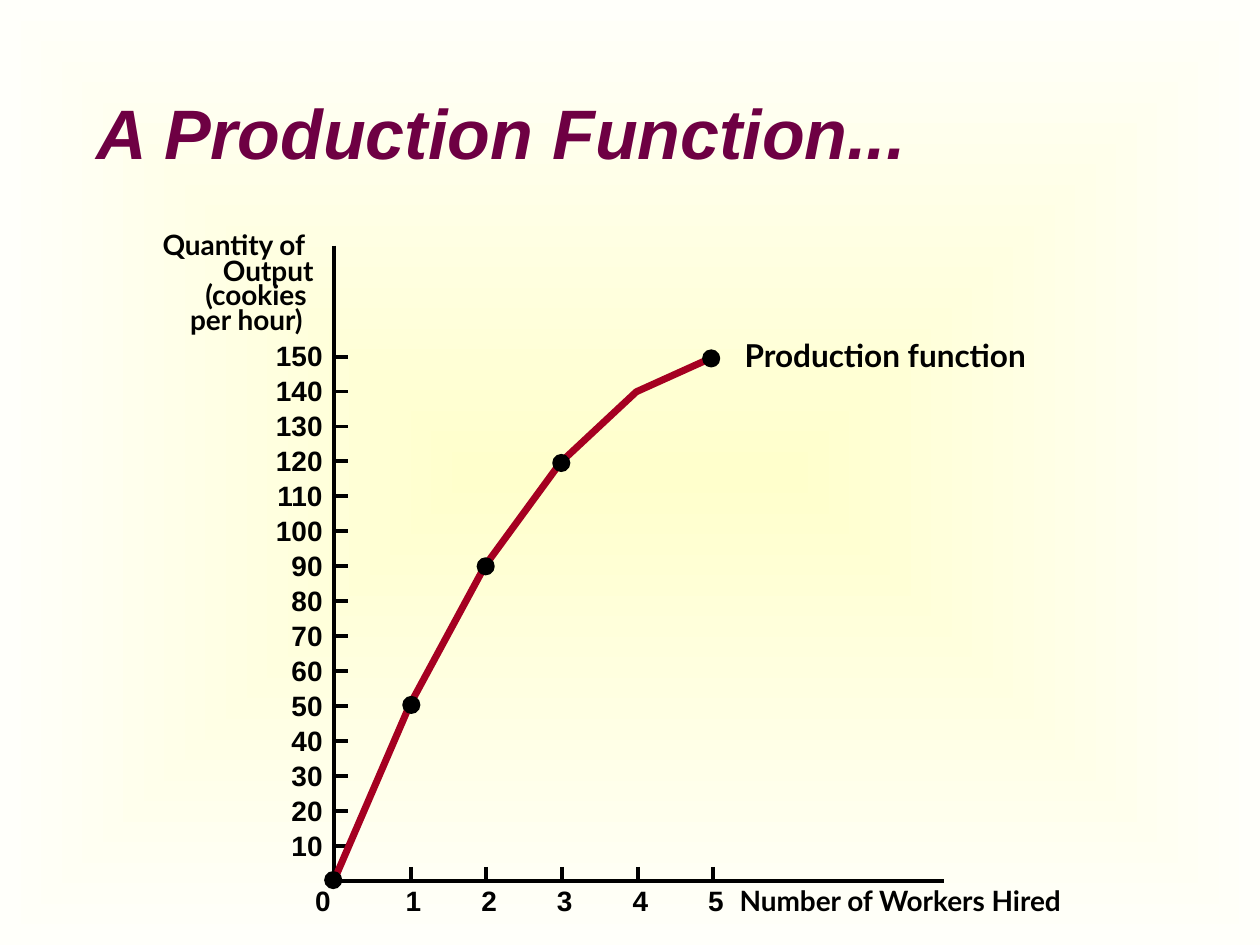
from typing import NamedTuple

from lxml import etree
from pptx import Presentation
from pptx import util as u
from pptx.dml import color
from pptx.enum import shapes, text
from pptx.oxml import ns

BLACK = "000000"
AXIS_X, AXIS_Y = 2.65, 6.99
AXIS_TOP, AXIS_RIGHT = 1.95, 7.49
WORKER_STEP = 0.6
OUTPUT_STEP = (AXIS_Y - 2.83) / 15
TICK = 0.11
DOT = 0.13


class Point(NamedTuple):
    x: float
    y: float


class Label(NamedTuple):
    words: str
    left: float
    top: float
    width: float
    size: int = 16


AXIS_TITLES = [
    Label("Quantity of", 1.29, 1.81, 1.27),
    Label("Output", 1.77, 2.01, 0.8),
    Label("(cookies", 1.63, 2.2, 0.91),
    Label("per hour)", 1.51, 2.4, 1.03),
    Label("Number of Workers Hired", 5.87, 7.01, 2.85),
    Label("Production function", 5.91, 2.67, 2.5, 18),
]
CURVE = [Point(AXIS_X, AXIS_Y), Point(3.25, 5.6), Point(3.85, 4.49),
         Point(4.45, 3.67), Point(5.05, 3.11), Point(5.67, 2.83)]
DOTS = [Point(2.58, 6.92), Point(3.2, 5.53), Point(3.79, 4.43),
        Point(4.39, 3.61), Point(5.58, 2.78)]


def rgb(value: str) -> color.RGBColor:
    return color.RGBColor.from_string(value)


def set_background(page, center: str, edge: str) -> None:
    """Fill the page with a gradient that spreads from the middle."""
    fill = page.background.fill
    fill.gradient()
    for stop, value, position in zip(fill.gradient_stops, (center, edge), (0, 1)):
        stop.color.rgb = rgb(value)
        stop.position = position
    gradient = page.element.find(".//" + ns.qn("a:gradFill"))
    gradient.remove(gradient.find(ns.qn("a:lin")))
    spread = etree.SubElement(gradient, ns.qn("a:path"), path="rect")
    etree.SubElement(spread, ns.qn("a:fillToRect"),
                     l="50000", t="50000", r="50000", b="50000")


def add_text(page, words: str, left: float, top: float, width: float,
             height: float = 0.27, *, size: int = 16, font: str = "Arial",
             hue: str = BLACK, italic: bool = False, wrap: bool = False,
             margins: tuple[float, float] = (0, 0),
             align=text.PP_ALIGN.LEFT, anchor=text.MSO_ANCHOR.TOP) -> None:
    box = page.shapes.add_textbox(*map(u.Inches, (left, top, width, height)))
    frame = box.text_frame
    frame.word_wrap = wrap
    frame.vertical_anchor = anchor
    frame.margin_left = frame.margin_right = u.Inches(margins[0])
    frame.margin_top = frame.margin_bottom = u.Inches(margins[1])
    para = frame.paragraphs[0]
    para.alignment = align
    span = para.add_run()
    span.text = words
    span.font.name = font
    span.font.size = u.Pt(size)
    span.font.bold = True
    span.font.italic = italic
    span.font.color.rgb = rgb(hue)


def add_tick(page, start: Point, end: Point) -> None:
    tick = page.shapes.add_connector(
        shapes.MSO_CONNECTOR.STRAIGHT, *map(u.Inches, (*start, *end)))
    tick.line.color.rgb = rgb(BLACK)
    tick.line.width = u.Pt(2.25)
    etree.SubElement(tick.element.spPr, ns.qn("a:effectLst"))


def add_polyline(page, points: list[Point], hue: str, weight: float) -> None:
    start, *rest = [(u.Inches(x), u.Inches(y)) for x, y in points]
    builder = page.shapes.build_freeform(*start)
    builder.add_line_segments(rest, close=False)
    outline = builder.convert_to_shape()
    outline.shadow.inherit = False
    outline.fill.background()
    outline.line.color.rgb = rgb(hue)
    outline.line.width = u.Pt(weight)


def add_dot(page, corner: Point) -> None:
    dot = page.shapes.add_shape(
        shapes.MSO_SHAPE.OVAL, *map(u.Inches, (*corner, DOT, DOT)))
    dot.shadow.inherit = False
    dot.fill.solid()
    dot.fill.fore_color.rgb = rgb(BLACK)
    dot.line.color.rgb = rgb(BLACK)
    dot.line.width = u.Pt(1)


def main() -> None:
    deck = Presentation()
    deck.slide_width, deck.slide_height = u.Inches(10), u.Inches(7.5)
    page = deck.slides.add_slide(deck.slide_layouts[6])
    set_background(page, "FFFFCC", "FFFFFA")

    # Title
    add_text(page, "A Production Function...", 0.67, 0.42, 8.5, 1.25,
             size=40, hue="6E0043", italic=True, wrap=True,
             margins=(0.1, 0.05), anchor=text.MSO_ANCHOR.MIDDLE)

    # Axis and curve titles
    for label in AXIS_TITLES:
        add_text(page, label.words, label.left, label.top, label.width,
                 size=label.size, font="Lato")

    # Output scale
    for step in range(1, 16):
        y = AXIS_Y - step * OUTPUT_STEP
        add_text(page, str(step * 10), 2.19, y - 0.14, 0.37,
                 align=text.PP_ALIGN.RIGHT)
        add_tick(page, Point(AXIS_X, y), Point(AXIS_X + TICK, y))

    # Worker scale
    add_text(page, "0", 2.5, 7.01, 0.12)
    for workers in range(1, 6):
        x = AXIS_X + workers * WORKER_STEP
        add_text(page, str(workers), x - 0.03, 7.01, 0.12)
        add_tick(page, Point(x + 0.01, AXIS_Y - TICK), Point(x + 0.01, AXIS_Y))

    # Axes, curve and its marked points
    add_polyline(page, [Point(AXIS_X, AXIS_TOP), Point(AXIS_X, AXIS_Y),
                        Point(AXIS_RIGHT, AXIS_Y)], BLACK, 2.25)
    add_polyline(page, CURVE, "A50021", 4)
    for corner in DOTS:
        add_dot(page, corner)

    deck.save("out.pptx")


if __name__ == "__main__":
    main()
